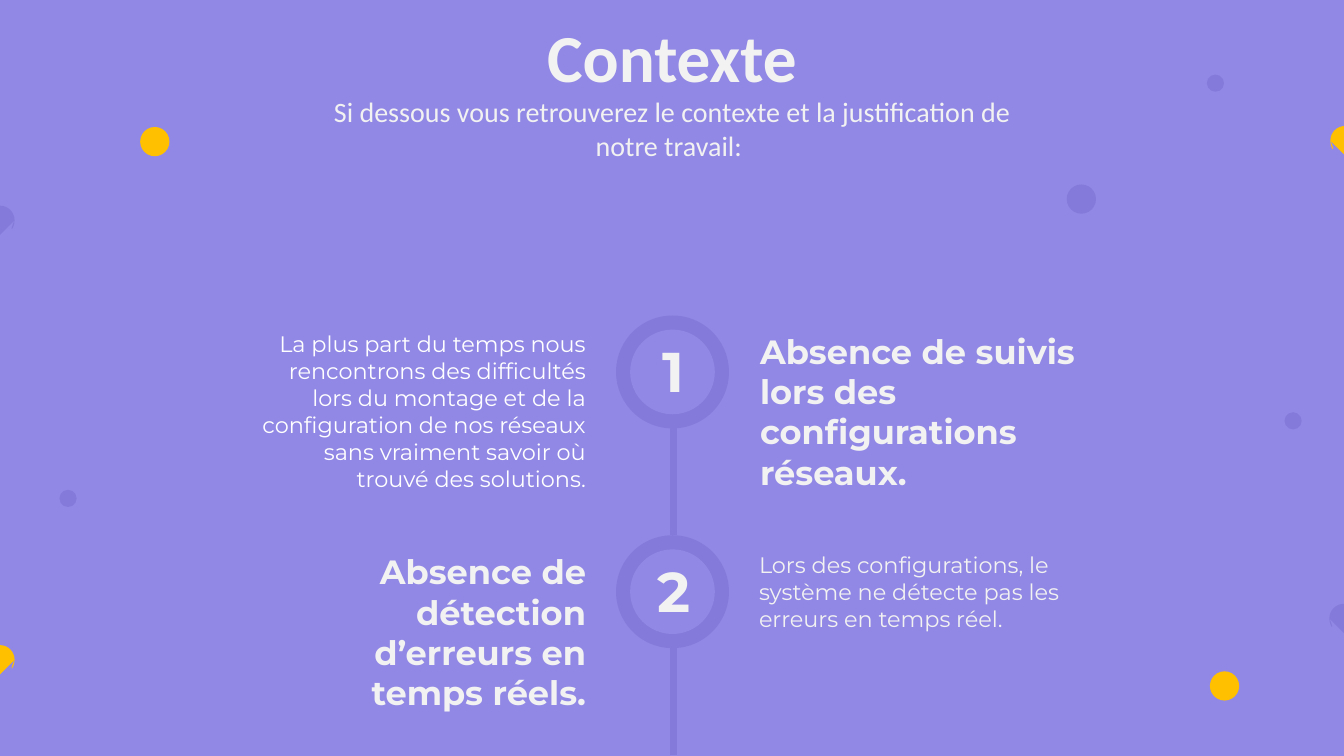
"""Build the "Contexte" slide: a two-step vertical timeline among scattered dots."""
from dataclasses import dataclass

from lxml.etree import SubElement
from pptx import Presentation
from pptx.dml.color import RGBColor
from pptx.enum.shapes import MSO_CONNECTOR, MSO_SHAPE
from pptx.enum.text import MSO_AUTO_SIZE, PP_ALIGN
from pptx.oxml.ns import qn
from pptx.util import Inches, Pt

COLORS = {
    "background": "9188E5",
    "ring": "837AD9",
    "accent": "FFC000",
    "light": "F2F2F2",
    "white": "FFFFFF",
}
WIDTH, HEIGHT = 13.33, 7.5
RING_SIZE, RING_BAND = 1.12, 0.14
RING_LEFT, AXIS = 6.11, 6.68
FIRST_RING_TOP, STEP_PITCH = 3.13, 2.18
STEM_OFFSET, STEM_LENGTH = 1.05, 1.13
LARGE, SMALL = 0.29, 0.17
ARC_HANDLE = 0.55


@dataclass(frozen=True)
class Label:
    text: str
    left: float
    top: float
    width: float
    height: float
    size: int
    align: PP_ALIGN = PP_ALIGN.CENTER
    color: str = "light"
    bold: bool = False
    font: str = "Montserrat"


@dataclass(frozen=True)
class Step:
    number: str
    labels: tuple[Label, ...]


@dataclass(frozen=True)
class Dot:
    left: float
    top: float
    size: float
    color: str = "ring"


@dataclass(frozen=True)
class EdgeDot:
    edge: float
    top: float
    direction: int
    color: str


STEPS = (
    Step("1", (
        Label("Absence de suivis lors des configurations réseaux.",
              7.44, 3.23, 3.83, 0.91, 24, PP_ALIGN.LEFT, bold=True),
        Label("La plus part du temps nous rencontrons des difficultés lors du montage "
              "et de la configuration de nos réseaux sans vraiment savoir où trouvé "
              "des solutions.",
              2.44, 3.23, 3.47, 1.45, 16, PP_ALIGN.RIGHT, "white"),
    )),
    Step("2", (
        Label("Lors des configurations, le système ne détecte pas les erreurs en temps réel.",
              7.43, 5.42, 3.86, 0.64, 16, PP_ALIGN.LEFT),
        Label("Absence de détection d’erreurs en temps réels.",
              2.44, 5.42, 3.47, 1.31, 24, PP_ALIGN.RIGHT, bold=True),
    )),
)
DOTS = (
    Dot(12.74, 4.09, SMALL),
    Dot(11.97, 0.74, SMALL),
    Dot(12, 6.66, LARGE, "accent"),
    Dot(10.58, 1.83, LARGE),
    Dot(0.59, 4.86, SMALL),
    Dot(1.39, 1.26, LARGE, "accent"),
)
EDGE_DOTS = (
    EdgeDot(WIDTH, 5.99, -1, "ring"),
    EdgeDot(13.34, 1.25, -1, "accent"),
    EdgeDot(0, 6.4, 1, "accent"),
    EdgeDot(0, 2.04, 1, "ring"),
)
HEADINGS = (
    Label("Contexte", 4.02, 0.1, 5.29, 0.91, 48, bold=True, font="Calibri"),
    Label("Si dessous vous retrouverez le contexte et la justification de notre travail: ",
          3.19, 0.89, 6.95, 0.77, 20, font="Calibri"),
)


def rgb(color: str) -> RGBColor:
    return RGBColor.from_string(COLORS[color])


def paint(shape, color: str) -> None:
    shape.shadow.inherit = False
    shape.fill.solid()
    shape.fill.fore_color.rgb = rgb(color)
    shape.line.fill.background()


def add_block(slide, kind: MSO_SHAPE, left: float, top: float,
              width: float, height: float, color: str) -> None:
    block = slide.shapes.add_shape(
        kind, Inches(left), Inches(top), Inches(width), Inches(height))
    paint(block, color)


def add_dot(slide, dot: Dot) -> None:
    add_block(slide, MSO_SHAPE.OVAL, dot.left, dot.top, dot.size, dot.size, dot.color)


def add_edge_dot(slide, dot: EdgeDot) -> None:
    radius = LARGE / 2
    tip = dot.edge + dot.direction * radius
    outline = slide.shapes.build_freeform(Inches(dot.edge), Inches(dot.top))
    outline.add_line_segments([(Inches(dot.edge), Inches(dot.top + LARGE)),
                               (Inches(tip), Inches(dot.top + radius))])
    half = outline.convert_to_shape()
    paint(half, dot.color)

    track = next(half._element.iter(qn("a:path")))
    track.remove(track[-1])
    left = min(dot.edge, tip)
    bulge = dot.edge + dot.direction * radius * ARC_HANDLE
    for start, end in ((LARGE, radius), (radius, 0)):
        at_tip = start == radius
        near_tip = radius + (LARGE / 2 if not at_tip else -radius) * ARC_HANDLE
        handles = [(bulge, start), (tip, near_tip), (tip, end)]
        if at_tip:
            handles = [(tip, near_tip), (bulge, end), (dot.edge, end)]
        curve = SubElement(track, qn("a:cubicBezTo"))
        for x, y in handles:
            SubElement(curve, qn("a:pt"), x=str(Inches(x - left)), y=str(Inches(y)))
    SubElement(track, qn("a:close"))


def add_label(slide, label: Label) -> None:
    box = slide.shapes.add_textbox(
        Inches(label.left), Inches(label.top), Inches(label.width), Inches(label.height))
    frame = box.text_frame
    frame.word_wrap = True
    frame.auto_size = MSO_AUTO_SIZE.SHAPE_TO_FIT_TEXT
    paragraph = frame.paragraphs[0]
    paragraph.text = label.text
    paragraph.alignment = label.align
    paragraph.font.name = label.font
    paragraph.font.size = Pt(label.size)
    paragraph.font.bold = label.bold
    paragraph.font.color.rgb = rgb(label.color)


def add_stem(slide, top: float) -> None:
    stem = slide.shapes.add_connector(
        MSO_CONNECTOR.STRAIGHT, Inches(AXIS), Inches(top),
        Inches(AXIS), Inches(top + STEM_LENGTH))
    stem.line.color.rgb = rgb("ring")
    stem.line.width = Pt(4.5)
    SubElement(stem._element.spPr, qn("a:effectLst"))


def add_step(slide, step: Step, top: float) -> None:
    add_dot(slide, Dot(RING_LEFT, top, RING_SIZE))
    add_stem(slide, top + STEM_OFFSET)
    add_dot(slide, Dot(RING_LEFT + RING_BAND, top + RING_BAND,
                       RING_SIZE - 2 * RING_BAND, "background"))
    add_label(slide, Label(step.number, 6.37, top + 0.16, 0.62, 0.77, 40, bold=True))
    for label in step.labels:
        add_label(slide, label)


def main() -> None:
    deck = Presentation()
    deck.slide_width, deck.slide_height = Inches(WIDTH), Inches(HEIGHT)
    slide = deck.slides.add_slide(deck.slide_layouts[6])
    slide.background.fill.solid()
    slide.background.fill.fore_color.rgb = rgb("background")

    for index, step in enumerate(STEPS):
        add_step(slide, step, FIRST_RING_TOP + index * STEP_PITCH)
    for left, width in ((0, 2.44), (11.14, 2.19)):
        add_block(slide, MSO_SHAPE.RECTANGLE, left, 2.89, width, 4.61, "background")
    for dot in DOTS:
        add_dot(slide, dot)
    for edge_dot in EDGE_DOTS:
        add_edge_dot(slide, edge_dot)
    for heading in HEADINGS:
        add_label(slide, heading)

    deck.save("out.pptx")


if __name__ == "__main__":
    main()
